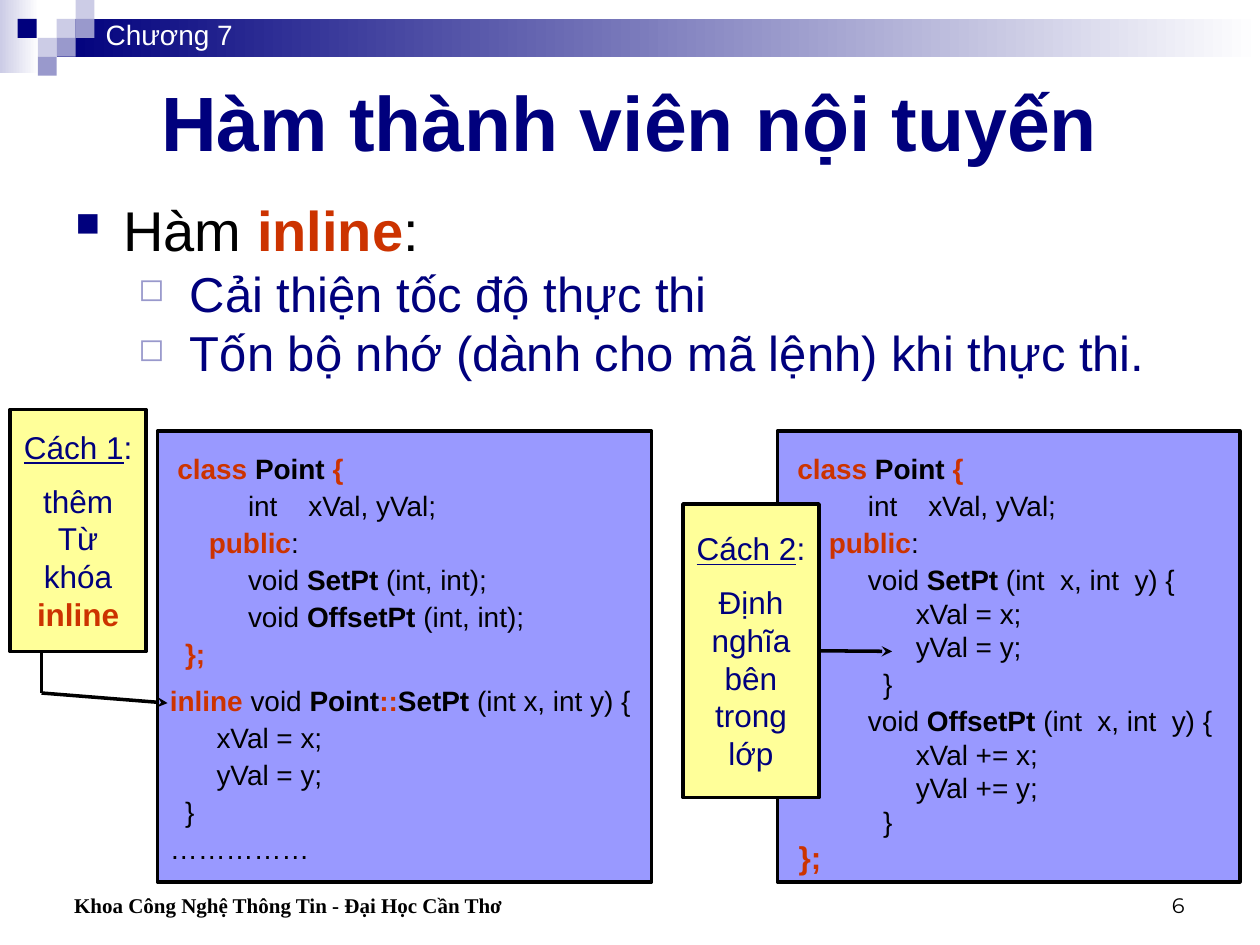
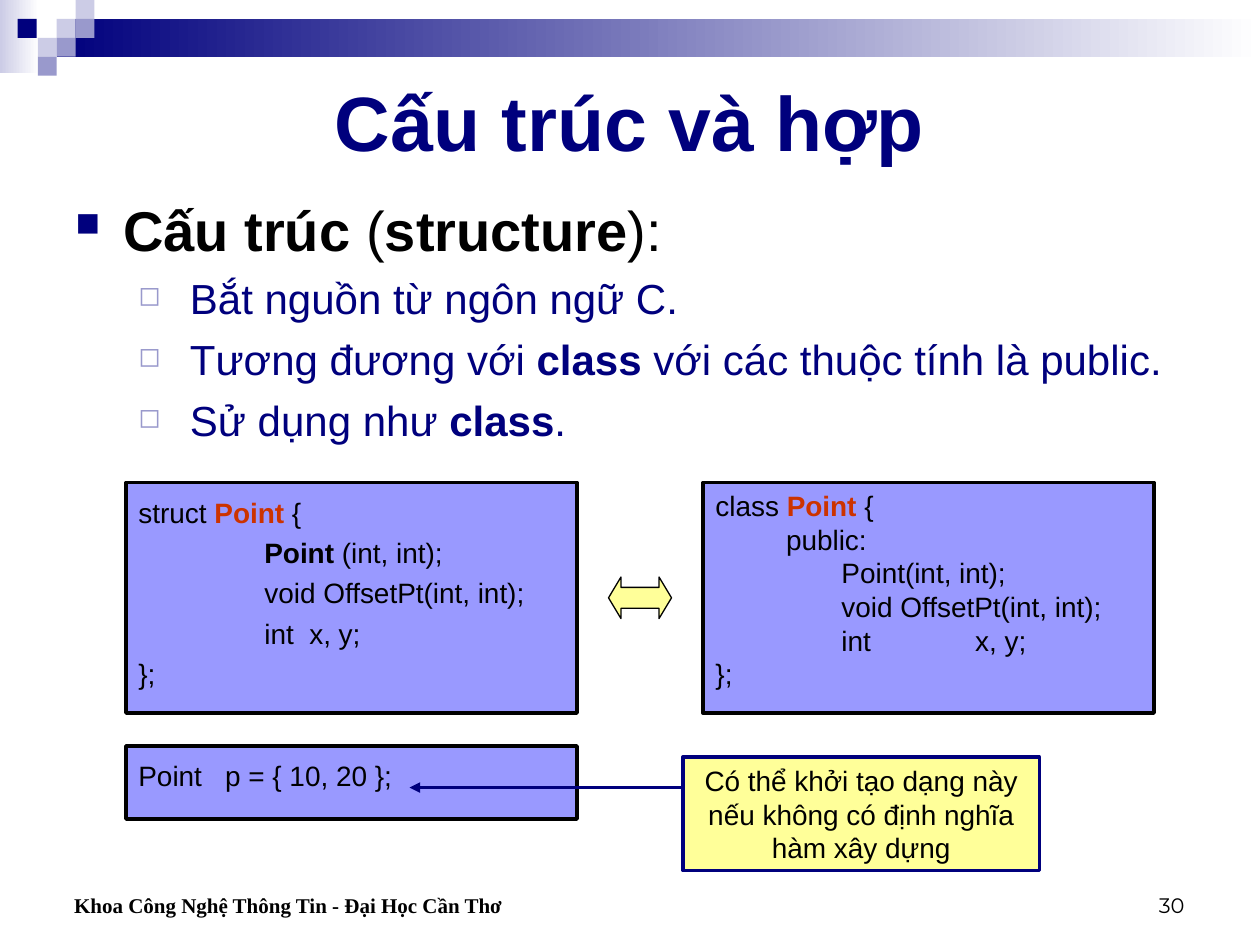
from dataclasses import dataclass

from lxml.etree import SubElement
from pptx import Presentation
from pptx.dml.color import RGBColor
from pptx.enum.shapes import MSO_CONNECTOR, MSO_SHAPE
from pptx.enum.text import MSO_ANCHOR, PP_ALIGN
from pptx.oxml.ns import qn
from pptx.util import Inches, Pt


@dataclass(frozen=True)
class Theme:
    navy: str = "00007D"
    lilac: str = "9999CC"
    pale: str = "CCCCE6"
    code_fill: str = "9999FF"
    note_fill: str = "FFFF99"
    red: str = "CC3300"
    black: str = "000000"
    white: str = "FFFFFF"
    font: str = "Arial"
    footer_font: str = "Times New Roman"
    number_font: str = "Montserrat"
    title: int = 44
    head: int = 32
    note: int = 18
    code: int = 16
    footer: int = 12


T = Theme()


@dataclass(frozen=True)
class Box:
    left: float
    top: float
    width: float
    height: float

    def emu(self) -> tuple:
        return tuple(Inches(v) for v in (self.left, self.top, self.width, self.height))


@dataclass(frozen=True)
class Span:
    text: str
    color: str | None = None
    bold: bool = False
    underline: bool = False


@dataclass(frozen=True)
class Line:
    """One paragraph; indents in inches, spacing in points."""
    spans: tuple
    indent: float = 0
    before: float = 0
    spacing: float | None = None
    size: int | None = None
    color: str | None = None
    bullet: str = ""
    bullet_color: str = ""
    bullet_pct: int = 100
    hanging: float = 0


@dataclass(frozen=True)
class Style:
    size: int = T.code
    color: str = T.black
    font: str = T.font
    bold: bool = False
    align: PP_ALIGN = PP_ALIGN.LEFT
    anchor: MSO_ANCHOR = MSO_ANCHOR.TOP
    spacing: float = 1.0
    side: float = 0.1
    top: float = 0.05


CODE = Style()
LOOSE = Style(spacing=1.2)
LISTING = Style(spacing=1.1, top=0.14)
CARD = Style(T.note, T.navy, align=PP_ALIGN.CENTER, anchor=MSO_ANCHOR.MIDDLE, side=0)
NOTE = Style(align=PP_ALIGN.CENTER, anchor=MSO_ANCHOR.MIDDLE)
TITLE = Style(T.title, T.navy, bold=True, align=PP_ALIGN.CENTER, anchor=MSO_ANCHOR.MIDDLE)
CHAPTER = Style(color=T.white)
FOOTER = Style(T.footer, font=T.footer_font, bold=True, anchor=MSO_ANCHOR.BOTTOM)
NUMBER = Style(T.footer, font=T.number_font, align=PP_ALIGN.RIGHT, anchor=MSO_ANCHOR.BOTTOM)


def ln(*spans: str | Span, **options) -> Line:
    return Line(spans, **options)


def bold(text: str) -> Span:
    return Span(text, bold=True)


def red(text: str) -> Span:
    return Span(text, T.red, bold=True)


def point(*spans: str | Span) -> Line:
    return ln(*spans, indent=0.38, hanging=0.38, before=8, size=T.head,
              bullet="■", bullet_color=T.navy, bullet_pct=60)


def subpoint(*spans: str | Span, size: int, before: float, spacing: float = 1.0) -> Line:
    return ln(*spans, indent=0.91, hanging=0.41, before=before, spacing=spacing, size=size,
              color=T.navy, bullet="◻", bullet_color=T.lilac, bullet_pct=65)


# Text
def format_paragraph(p, line: Line, style: Style) -> None:
    p.alignment = style.align
    p.line_spacing = line.spacing or style.spacing
    p.space_before = Pt(line.before)
    pPr = p._p.get_or_add_pPr()
    pPr.set("marL", str(Inches(line.indent)))
    pPr.set("indent", str(-Inches(line.hanging)))
    if line.bullet:
        clr = SubElement(pPr, qn("a:buClr"))
        SubElement(clr, qn("a:srgbClr"), val=line.bullet_color)
        SubElement(pPr, qn("a:buSzPct"), val=str(line.bullet_pct * 1000))
        SubElement(pPr, qn("a:buChar"), char=line.bullet)


def write(sp, lines: list[Line], style: Style) -> None:
    tf = sp.text_frame
    tf.word_wrap = True
    tf.vertical_anchor = style.anchor
    tf.margin_left = tf.margin_right = Inches(style.side)
    tf.margin_top, tf.margin_bottom = Inches(style.top), Inches(0.05)
    for i, line in enumerate(lines):
        p = tf.paragraphs[0] if i == 0 else tf.add_paragraph()
        format_paragraph(p, line, style)
        for item in line.spans:
            span = item if isinstance(item, Span) else Span(item)
            r = p.add_run()
            r.text = span.text
            r.font.name = style.font
            r.font.size = Pt(line.size or style.size)
            r.font.bold = span.bold or style.bold
            r.font.underline = span.underline
            r.font.color.rgb = RGBColor.from_string(span.color or line.color or style.color)


def add_text(s, box: Box, lines: list[Line], style: Style) -> None:
    write(s.shapes.add_textbox(*box.emu()), lines, style)


# Shapes
def add_box(s, box: Box, fill: str, line: str | None = None, width: float = 2,
            kind: MSO_SHAPE = MSO_SHAPE.RECTANGLE, fade: bool = False):
    sp = s.shapes.add_shape(kind, *box.emu())
    sp.shadow.inherit = False
    if fade:
        sp.fill.gradient()
        sp.fill.gradient_angle = 0
        for stop, color in zip(sp.fill.gradient_stops, (fill, T.white)):
            stop.color.rgb = RGBColor.from_string(color)
    else:
        sp.fill.solid()
        sp.fill.fore_color.rgb = RGBColor.from_string(fill)
    if line:
        sp.line.color.rgb = RGBColor.from_string(line)
        sp.line.width = Pt(width)
    else:
        sp.line.fill.background()
    return sp


def add_panel(s, box: Box, lines: list[Line], style: Style,
              fill: str = T.code_fill, line: str = T.black):
    sp = add_box(s, box, fill, line)
    write(sp, lines, style)
    return sp


def add_line(s, start: tuple, end: tuple, color: str = T.black, arrow: str = ""):
    cx = s.shapes.add_connector(MSO_CONNECTOR.STRAIGHT, *(Inches(v) for v in start + end))
    cx.line.color.rgb = RGBColor.from_string(color)
    cx.line.width = Pt(2)
    if arrow:
        SubElement(cx.line._get_or_add_ln(), qn("a:tailEnd"), type=arrow)
    SubElement(cx._element.spPr, qn("a:effectLst"))
    return cx


# Shared frame: top band, mosaic, title, body and footer
MOSAIC = ((0.45, 0.15, T.pale), (0.6, 0, T.pale), (0.6, 0.15, T.lilac), (0.3, 0.3, T.pale),
          (0.14, 0.15, T.navy), (0.45, 0.3, T.lilac), (0.3, 0.45, T.lilac))


def add_frame(prs, title: str, number: int, body: list[Line], body_height: float):
    s = prs.slides.add_slide(prs.slide_layouts[6])
    add_box(s, Box(0, 0, 0.31, 0.58), T.pale, fade=True)
    add_box(s, Box(0.45, 0.15, 9.55, 0.3), T.navy, fade=True)
    for left, top, color in MOSAIC:
        add_box(s, Box(left, top, 0.15, 0.15), color)
    add_text(s, Box(0.5, 0.5, 9, 0.92), [ln(title)], TITLE)
    add_text(s, Box(0.5, 1.5, 9, body_height), body, CODE)
    add_text(s, Box(0.25, 6.83, 4.83, 0.5),
             [ln("Khoa Công Nghệ Thông Tin - Đại Học Cần Thơ", indent=0.24)], FOOTER)
    add_text(s, Box(7.17, 6.83, 2.33, 0.5), [ln(str(number))], NUMBER)
    return s


def class_head() -> list[Line]:
    return [ln(red("class "), bold("Point "), red("{"), indent=0.06),
            ln("int    xVal, yVal;", indent=0.62),
            ln(red("public"), ":", indent=0.31)]


def method(name: str, rest: str) -> Line:
    return ln("void ", bold(name), rest, indent=0.62)


def card_lines(heading: str, *words: str | Span) -> list[Line]:
    return [ln(Span(heading, underline=True), ":"),
            *(ln(w, before=0 if i else 9) for i, w in enumerate(words))]


def build_inline_slide(prs) -> None:
    s = add_frame(prs, "Hàm thành viên nội tuyến", 6, [
        point("Hàm ", red("inline"), ":"),
        *(subpoint(t, size=28, before=7, spacing=0.8) for t in (
            "Cải thiện tốc độ thực thi", "Tốn bộ nhớ (dành cho mã lệnh) khi thực thi."))], 1.67)
    add_text(s, Box(0.74, 0.09, 1.75, 0.37), [ln("Chương 7", before=10)], CHAPTER)

    # Code listings
    add_panel(s, Box(1.25, 3.42, 3.92, 3.58), [
        *class_head(),
        *(method(name, " (int, int);") for name in ("SetPt", "OffsetPt")),
        ln(red("};"), indent=0.12),
        ln(red("inline"), " void ", bold("Point"), red("::"), bold("SetPt"),
           " (int x, int y) {", before=6),
        *(ln(t, indent=0.37) for t in ("xVal = x;", "yVal = y;")),
        ln("}", indent=0.12),
        ln("……………")], LISTING)
    inner = dict(indent=1, spacing=1.0)
    add_panel(s, Box(6.17, 3.42, 3.67, 3.58), [
        *class_head(),
        method("SetPt", " (int  x, int  y) {"),
        *(ln(t, **inner) for t in ("xVal = x;", "yVal = y;")),
        ln("}", indent=0.74),
        method("OffsetPt", " (int  x, int  y) {"),
        *(ln(t, **inner) for t in ("xVal += x;", "yVal += y;")),
        ln("}", indent=0.74, spacing=1.0),
        ln(red("};"), indent=0.07, spacing=1.0, size=T.note)], LISTING)

    # Cards with their arrows
    card_2 = add_panel(s, Box(5.42, 4, 1.08, 2.33), card_lines(
        "Cách 2", "Định", "nghĩa", "bên", "trong", "lớp"), CARD, T.note_fill)
    add_panel(s, Box(0.08, 3.25, 1.08, 1.92), card_lines(
        "Cách 1", "thêm", "Từ", "khóa", red("inline")), CARD, T.note_fill)
    add_line(s, (0.33, 5.17), (0.33, 5.5))
    add_line(s, (0.33, 5.5), (1.33, 5.58), arrow="stealth")
    add_line(s, (6.5, 5.17), (7.08, 5.17), arrow="stealth").begin_connect(card_2, 3)


def build_structure_slide(prs) -> None:
    sub = dict(size=24, before=6)
    s = add_frame(prs, "Cấu trúc và hợp", 30, [
        point(bold("Cấu trúc"), " (", bold("structure"), "):"),
        subpoint("Bắt nguồn từ ngôn ngữ C.", **sub),
        subpoint("Tương đương với ", bold("class"), " với các thuộc tính là public.", **sub),
        subpoint("Sử dụng như ", bold("class"), ".", **sub)], 2.17)

    # Equivalent declarations
    add_panel(s, Box(1, 3.83, 3.58, 1.83), [
        ln("struct ", red("Point"), " {"),
        ln(bold("Point"), " (int, int);", indent=1),
        ln("void OffsetPt(int, int);", indent=1),
        ln("int  x, y;", indent=1),
        ln("};")], LOOSE)
    add_panel(s, Box(5.58, 3.83, 3.58, 1.83), [
        ln("class ", red("Point"), " {"),
        ln("public:", indent=0.56),
        ln("Point(int, int);", indent=1),
        ln("void OffsetPt(int, int);", indent=1),
        ln("int\t\t x, y;", indent=1),
        ln("};")], CODE)
    arrow = add_box(s, Box(4.83, 4.58, 0.5, 0.33), T.note_fill, T.black, 0.75,
                    MSO_SHAPE.LEFT_RIGHT_ARROW)
    arrow.adjustments[0], arrow.adjustments[1] = 0.5, 0.3

    # Initialisation and its note
    add_panel(s, Box(1, 5.92, 3.58, 0.58), [ln("Point   p = { 10, 20 };")], LOOSE)
    add_panel(s, Box(5.42, 6.01, 2.83, 0.9),
              [ln("Có thể khởi tạo dạng này nếu không có định nghĩa hàm xây dựng")],
              NOTE, T.note_fill, T.navy)
    add_line(s, (5.42, 6.25), (3.25, 6.25), T.navy, "triangle")


def main() -> None:
    prs = Presentation()
    prs.slide_width, prs.slide_height = Inches(10), Inches(7.5)
    build_inline_slide(prs)
    build_structure_slide(prs)
    prs.save("out.pptx")


if __name__ == "__main__":
    main()
